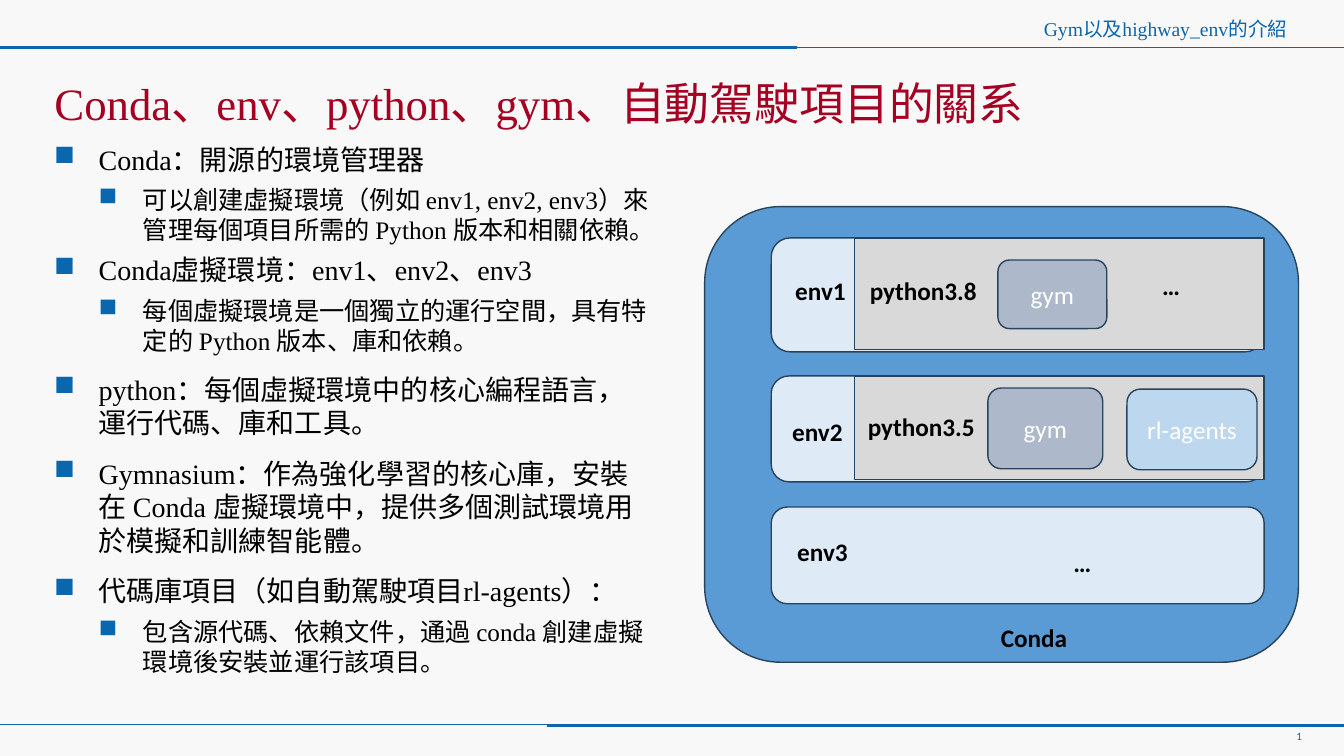
import pptx
import pptx.util
import pptx.dml.color
import pptx.enum.shapes
import pptx.enum.text
import pptx.oxml
import pptx.oxml.ns

WIDTH, HEIGHT = 13.33, 7.5
SERIF, SANS = "Times New Roman", "Calibri"
BLUE, RED, NAVY, BLACK, WHITE = "0A66AD", "A50021", "28445D", "000000", "FFFFFF"
LEFT = pptx.enum.text.PP_ALIGN.LEFT
CENTER = pptx.enum.text.PP_ALIGN.CENTER
RIGHT = pptx.enum.text.PP_ALIGN.RIGHT
TOP = pptx.enum.text.MSO_ANCHOR.TOP
MIDDLE = pptx.enum.text.MSO_ANCHOR.MIDDLE
RECTANGLE = pptx.enum.shapes.MSO_SHAPE.RECTANGLE
ROUNDED = pptx.enum.shapes.MSO_SHAPE.ROUNDED_RECTANGLE

POINTS = [
    (0, 0, "Conda：開源的環境管理器"),
    (1, 0, "可以創建虛擬環境（例如 env1, env2, env3）來管理每個項目所需的 Python 版本和相關依賴。"),
    (0, 0, "Conda虛擬環境：env1、env2、env3"),
    (1, 0, "每個虛擬環境是一個獨立的運行空間，具有特定的 Python 版本、庫和依賴。"),
    (0, 6, "python：每個虛擬環境中的核心編程語言，運行代碼、庫和工具。"),
    (0, 6, "Gymnasium：作為強化學習的核心庫，安裝在 Conda 虛擬環境中，提供多個測試環境用於模擬和訓練智能體。"),
    (0, 6, "代碼庫項目（如自動駕駛項目rl-agents）："),
    (1, 0, "包含源代碼、依賴文件，通過 conda 創建虛擬環境後安裝並運行該項目。"),
]


def x(percent):
    return pptx.util.Inches(WIDTH * percent / 100)


def y(percent):
    return pptx.util.Inches(HEIGHT * percent / 100)


def area(left, top, width, height):
    return x(left), y(top), x(width), y(height)


def color(value):
    return pptx.dml.color.RGBColor.from_string(value)


def style(font, size, name, ink, bold=False):
    font.size = pptx.util.Pt(size)
    font.name = name
    font.bold = bold
    font.color.rgb = color(ink)


def write(frame, text, size, name, ink, bold=False, align=LEFT, anchor=TOP):
    frame.text = text
    frame.word_wrap = True
    frame.auto_size = pptx.enum.text.MSO_AUTO_SIZE.NONE
    frame.vertical_anchor = anchor
    paragraph = frame.paragraphs[0]
    paragraph.alignment = align
    for run in paragraph.runs:
        style(run.font, size, name, ink, bold)


def rule(slide, start, end, height, weight):
    line = slide.shapes.add_connector(
        pptx.enum.shapes.MSO_CONNECTOR.STRAIGHT, x(start), y(height), x(end), y(height))
    line.line.color.rgb = color(BLUE)
    line.line.width = pptx.util.Pt(weight)
    pptx.oxml.ns.qn("a:effectLst")
    line._element.spPr.append(pptx.oxml.parse_xml(
        f'<a:effectLst {pptx.oxml.ns.nsdecls("a")}/>'))


def block(slide, kind, place, fill, text=""):
    shape = slide.shapes.add_shape(kind, *area(*place))
    shape.shadow.inherit = False
    shape.fill.solid()
    shape.fill.fore_color.rgb = color(fill)
    shape.line.color.rgb = color(NAVY)
    shape.line.width = pptx.util.Pt(1)
    if text:
        write(shape.text_frame, text, 18, SANS, WHITE, align=CENTER, anchor=MIDDLE)


def label(slide, text, left, top, width):
    box = slide.shapes.add_textbox(*area(left, top, width, 5.33))
    write(box.text_frame, text, 18, SANS, BLACK, bold=True)


def page_number(slide):
    box = slide.shapes.add_textbox(*area(94.6, 95.87, 4.13, 2.8))
    paragraph = box.text_frame.paragraphs[0]
    paragraph.alignment = CENTER
    paragraph._p.append(pptx.oxml.parse_xml(
        f'<a:fld {pptx.oxml.ns.nsdecls("a")} type="slidenum" '
        'id="{B6F15528-21DE-4FAA-801E-634DDDAF4B2B}">'
        f'<a:rPr lang="en-US" sz="800"><a:solidFill><a:srgbClr val="{BLUE}"/></a:solidFill>'
        f'<a:latin typeface="{SANS}"/></a:rPr><a:t>3</a:t></a:fld>'))


def bullet_list(slide, place):
    frame = slide.shapes.add_textbox(*area(*place)).text_frame
    frame.word_wrap = True
    indent = pptx.util.Inches(0.44)
    for index, (level, before, text) in enumerate(POINTS):
        paragraph = frame.add_paragraph() if index else frame.paragraphs[0]
        paragraph.text = text
        paragraph.level = level
        paragraph.space_before = pptx.util.Pt(before)
        paragraph.space_after = pptx.util.Pt(6)
        properties = paragraph._p.get_or_add_pPr()
        properties.set("marL", str(indent * (level + 1)))
        properties.set("indent", str(-indent))
        for bullet in (f'<a:buClr {pptx.oxml.ns.nsdecls("a")}><a:srgbClr val="{BLUE}"/></a:buClr>',
                       f'<a:buChar {pptx.oxml.ns.nsdecls("a")} char="■"/>'):
            properties.append(pptx.oxml.parse_xml(bullet))
        for run in paragraph.runs:
            style(run.font, 18 if level else 20, SERIF, BLACK)


def environments(slide):
    block(slide, ROUNDED, (52.43, 27.33, 44.18, 60.27), "5B9BD5")
    for top, height in ((31.47, 15.07), (49.73, 14), (67.07, 12.8)):
        block(slide, ROUNDED, (57.38, top, 36.68, height), "DEEBF7")
    for top, height in ((31.47, 14.8), (49.73, 13.73)):
        block(slide, RECTANGLE, (63.6, top, 30.46, height), "D9D9D9")
    block(slide, ROUNDED, (74.25, 34.4, 8.1, 9.07), "ADB9CA", "gym")
    block(slide, ROUNDED, (73.5, 51.33, 8.55, 10.67), "ADB9CA", "gym")
    block(slide, ROUNDED, (83.85, 51.47, 9.68, 10.67), "BDD7EE", "rl-agents")
    for text, left, top, width in (
            ("env1", 58.43, 35.73, 6.4), ("python3.8", 63.98, 35.73, 9.9), ("…", 85.73, 35.07, 5.85),
            ("env2", 58.2, 54.4, 6.4), ("python3.5", 63.83, 53.73, 9.9),
            ("env3", 58.58, 70.27, 6.4), ("…", 79.13, 71.73, 5.85),
            ("Conda", 73.73, 81.6, 7.2)):
        label(slide, text, left, top, width)


def main():
    deck = pptx.Presentation()
    deck.slide_width = pptx.util.Inches(WIDTH)
    deck.slide_height = pptx.util.Inches(HEIGHT)
    slide = deck.slides.add_slide(deck.slide_layouts[5])
    slide.background.fill.solid()
    slide.background.fill.fore_color.rgb = color("F8F8F8")

    for start, end, height, weight in ((0, 100, 6.27, 1), (0, 59.33, 6.27, 2.25),
                                       (0, 100, 95.87, 1), (40.73, 100, 96, 2.25)):
        rule(slide, start, end, height, weight)

    heading = slide.shapes.title
    heading.left, heading.top, heading.width, heading.height = area(3.3, 10, 93.25, 7.07)
    write(heading.text_frame, "Conda、env、python、gym、自動駕駛項目的關系", 32, SERIF, RED, anchor=MIDDLE)

    section = slide.shapes.add_textbox(*area(4.28, 1.47, 92.25, 4.53))
    write(section.text_frame, "Gym以及highway_env的介紹", 14, SERIF, BLUE, align=RIGHT, anchor=MIDDLE)

    page_number(slide)
    bullet_list(slide, (3.3, 18.13, 45.98, 75.2))
    environments(slide)
    deck.save("out.pptx")


if __name__ == "__main__":
    main()
